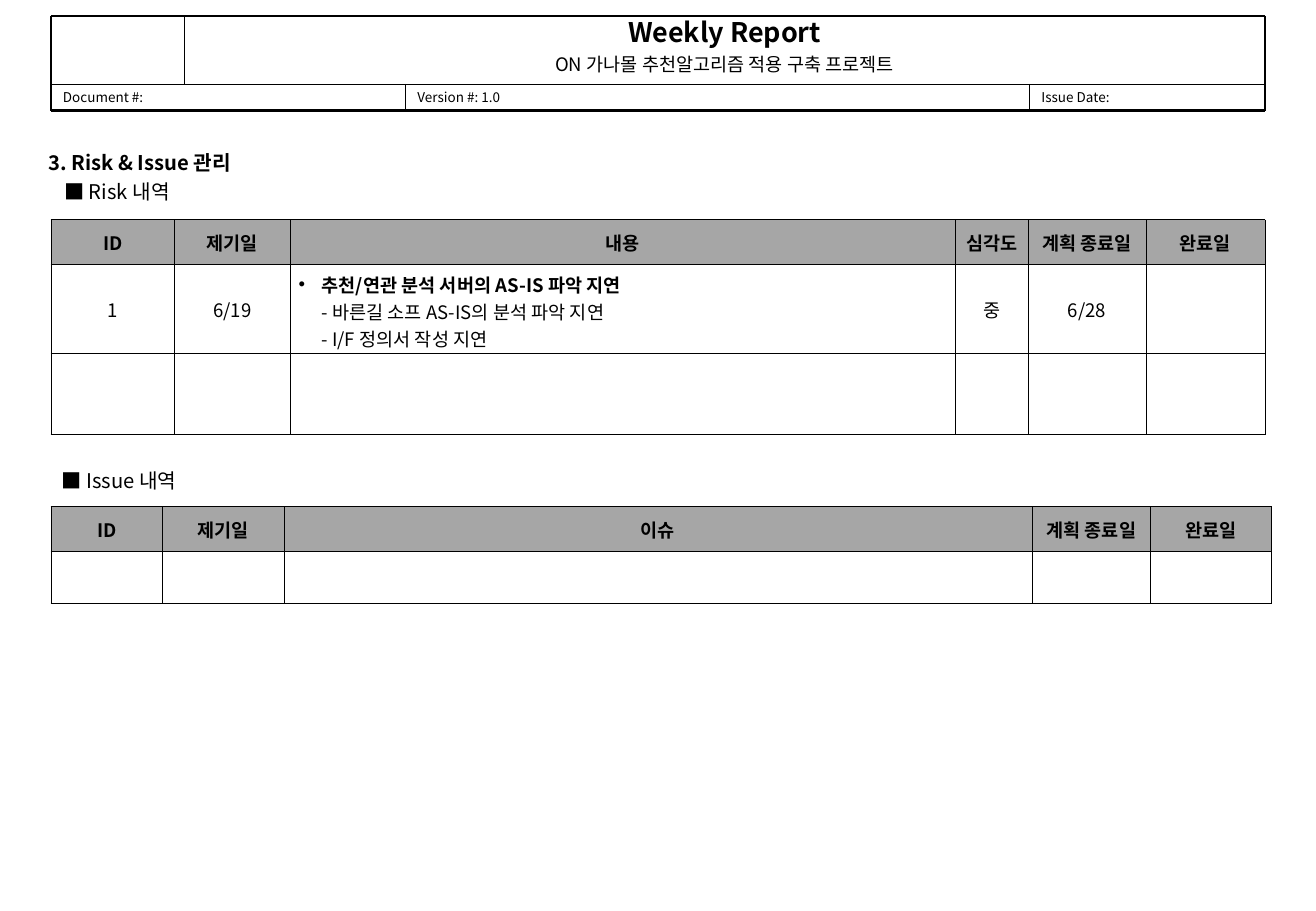
from lxml import etree
from pptx import Presentation
from pptx import util as u
from pptx.dml.color import RGBColor
from pptx.enum import shapes, text
from pptx.oxml import ns

BLACK = RGBColor(0x00, 0x00, 0x00)
HEADING_GRAY = RGBColor(0xA6, 0xA6, 0xA6)
FONT = "Noto Sans CJK KR"
CENTER = text.PP_ALIGN.CENTER
MIDDLE = text.MSO_ANCHOR.MIDDLE

GRID = u.Inches(0.1)  # every length below counts grid columns or rows
LEFT, RIGHT = 4.2, 104.2
HEADER_TOP, HEADER_SPLIT, HEADER_BOTTOM = 1.3, 6.9, 9.1
TITLE_LEFT, VERSION_LEFT, DATE_LEFT = 15.2, 33.4, 84.8


def grid(*counts):
    return [u.Emu(round(count * GRID)) for count in counts]


def add_xml(parent, tag, **attributes):
    return etree.SubElement(parent, ns.qn(tag), attributes)


def format_paragraph(paragraph, size, bold_runs=()):
    """Style the runs, and give line breaks and the paragraph end the same size."""
    for index, run in enumerate(paragraph.runs):
        run.font.size = u.Pt(size)
        run.font.name = FONT
        run.font.bold = index in bold_runs
        run.font.color.rgb = BLACK
        add_xml(run.font._element, "a:ea", typeface=FONT)
    for line_break in paragraph._p.findall(ns.qn("a:br")):
        add_xml(line_break, "a:rPr", sz=str(size * 100))
    if not paragraph.runs:
        add_xml(paragraph._p, "a:endParaRPr", sz=str(size * 100))


def add_text(slide, box, lines, inset=0, anchor=text.MSO_ANCHOR.TOP,
             align=text.PP_ALIGN.LEFT, wrap=True):
    """Add a text box; each line is (wording, size, bold, points before)."""
    frame = slide.shapes.add_textbox(*grid(*box)).text_frame
    frame.word_wrap = wrap
    frame.vertical_anchor = anchor
    frame.margin_top = frame.margin_bottom = u.Inches(inset)
    frame.text = "\n".join(line[0] for line in lines)
    for paragraph, (_, size, bold, before) in zip(frame.paragraphs, lines):
        paragraph.alignment = align
        if before:
            paragraph.space_before = u.Pt(before)
        format_paragraph(paragraph, size, (0,) if bold else ())


def add_line(slide, ends, width):
    line = slide.shapes.add_connector(shapes.MSO_CONNECTOR.STRAIGHT, *grid(*ends))
    line.line.color.rgb = BLACK
    line.line.width = u.Pt(width)
    add_xml(line._element.spPr, "a:effectLst")


def add_borders(cell):
    properties = cell._tc.get_or_add_tcPr()
    for side in ("a:lnL", "a:lnR", "a:lnT", "a:lnB"):
        border = add_xml(properties, side, w=str(u.Pt(0.45)))
        fill = add_xml(border, "a:solidFill")
        add_xml(fill, "a:srgbClr", val=str(BLACK))


def add_bullet(paragraph):
    properties = paragraph._p.get_or_add_pPr()
    indent = u.Inches(0.19)
    properties.set("marL", str(indent))
    properties.set("indent", str(-indent))
    add_xml(properties, "a:buFont", typeface="Arial")
    add_xml(properties, "a:buChar", char="•")


def fill_cell(cell, wording, heading):
    cell.margin_left = cell.margin_right = u.Inches(0.07)
    cell.margin_top = cell.margin_bottom = u.Inches(0.05)
    cell.vertical_anchor = MIDDLE
    add_borders(cell)
    if heading:
        cell.fill.solid()
        cell.fill.fore_color.rgb = HEADING_GRAY
    else:
        cell.fill.background()
    paragraph = cell.text_frame.paragraphs[0]
    paragraph.text = wording
    detailed = "\v" in wording
    if detailed:
        add_bullet(paragraph)
    else:
        paragraph.alignment = CENTER
    format_paragraph(paragraph, 11, (0,) if heading or detailed else ())


def add_table(slide, top, widths, heights, rows):
    box = grid(LEFT, top, sum(widths), sum(heights))
    table = slide.shapes.add_table(len(heights), len(widths), *box).table
    table.first_row = table.horz_banding = False
    for column, width in zip(table.columns, grid(*widths)):
        column.width = width
    for row_index, (row, height) in enumerate(zip(table.rows, grid(*heights))):
        row.height = height
        for cell, wording in zip(row.cells, rows[row_index]):
            fill_cell(cell, wording, heading=row_index == 0)


def add_header(slide):
    add_text(slide, (TITLE_LEFT, HEADER_TOP, RIGHT - TITLE_LEFT, HEADER_SPLIT - HEADER_TOP),
             [("Weekly Report", 16, True, 0),
              ("ON 가나몰 추천알고리즘 적용 구축 프로젝트", 11, False, 2.8)], align=CENTER)
    edges = (LEFT, VERSION_LEFT, DATE_LEFT, RIGHT)
    labels = ("Document #:", "Version #: 1.0", "Issue Date:")
    for label, start, end in zip(labels, edges, edges[1:]):
        add_text(slide, (start, HEADER_SPLIT, end - start, HEADER_BOTTOM - HEADER_SPLIT),
                 [(label, 8, False, 0)], anchor=MIDDLE)

    add_line(slide, (TITLE_LEFT, HEADER_TOP, TITLE_LEFT, HEADER_SPLIT), 0.25)
    for x in (VERSION_LEFT, DATE_LEFT):
        add_line(slide, (x, HEADER_SPLIT, x, HEADER_BOTTOM), 0.25)
    add_line(slide, (LEFT, HEADER_SPLIT, RIGHT, HEADER_SPLIT), 0.25)
    for x in (LEFT, RIGHT):
        add_line(slide, (x, HEADER_TOP, x, HEADER_BOTTOM), 1.5)
    for y in (HEADER_TOP, HEADER_BOTTOM):
        add_line(slide, (LEFT, y, RIGHT, y), 1.5)


def main():
    presentation = Presentation()
    presentation.slide_width = u.Inches(10.84)
    presentation.slide_height = u.Inches(7.5)
    slide = presentation.slides.add_slide(presentation.slide_layouts[6])

    add_header(slide)
    for wording, bold, box in (
        ("3. Risk & Issue 관리", True, (3, 11.9, 18.2, 3)),
        ("■ Risk 내역", False, (4.3, 14.3, 11.2, 3)),
        ("■ Issue 내역", False, (4.1, 38.1, 12.2, 3)),
    ):
        add_text(slide, box, [(wording, 12, bold, 0)], inset=0.05, wrap=False)

    delay = "\v".join(("추천/연관 분석 서버의 AS-IS 파악 지연",
                       "- 바른길 소프 AS-IS의 분석 파악 지연",
                       "- I/F 정의서 작성 지연"))
    add_table(slide, 18.1, (10.2, 9.5, 54.8, 6, 9.7, 9.8), (3.7, 7.3, 6.7), (
        ("ID", "제기일", "내용", "심각도", "계획 종료일", "완료일"),
        ("1", "6/19", delay, "중", "6/28", ""),
        ("",) * 6,
    ))
    add_table(slide, 41.7, (9.2, 10, 61.6, 9.8, 9.9), (3.7, 4.3), (
        ("ID", "제기일", "이슈", "계획 종료일", "완료일"),
        ("",) * 5,
    ))
    presentation.save("out.pptx")


if __name__ == "__main__":
    main()
